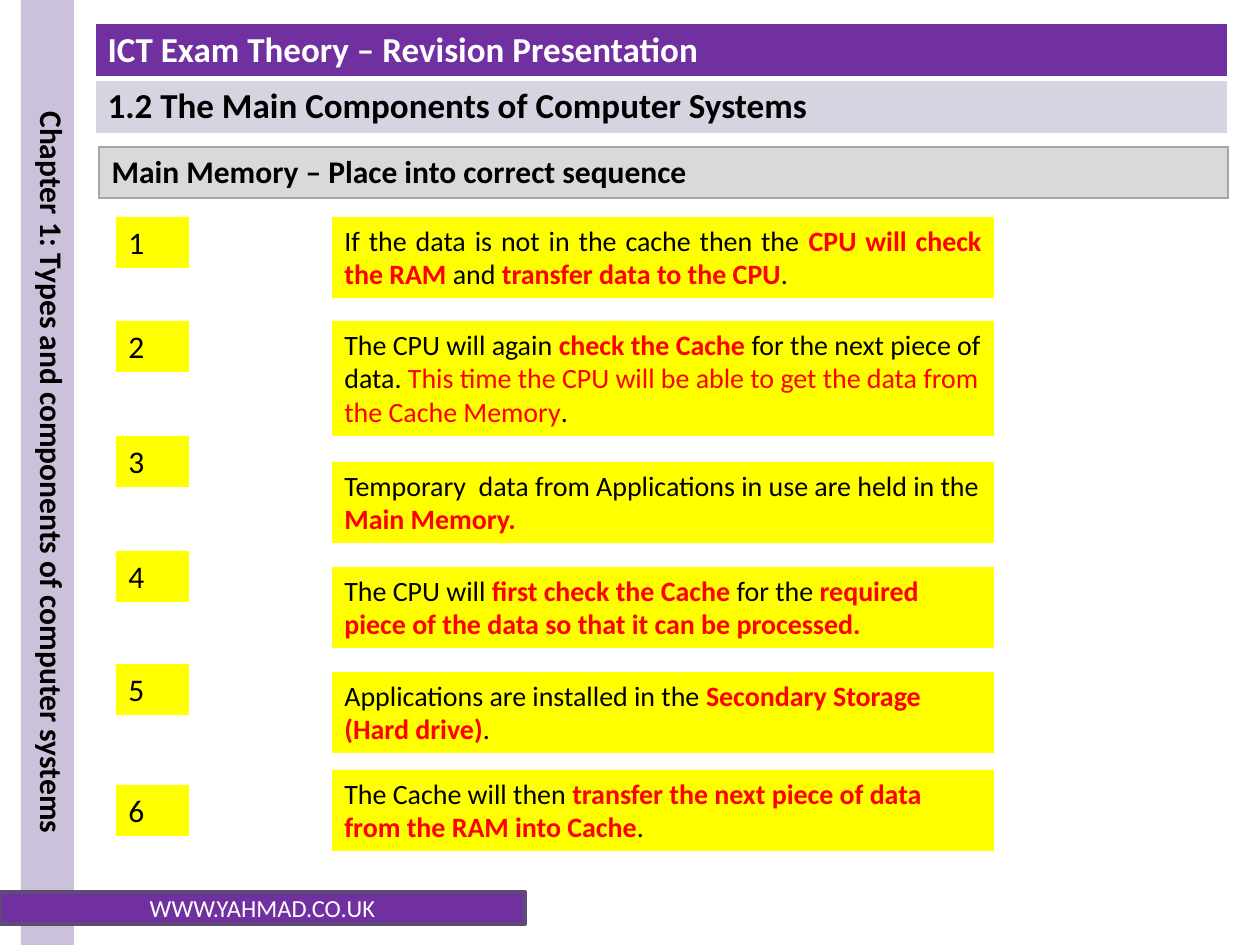
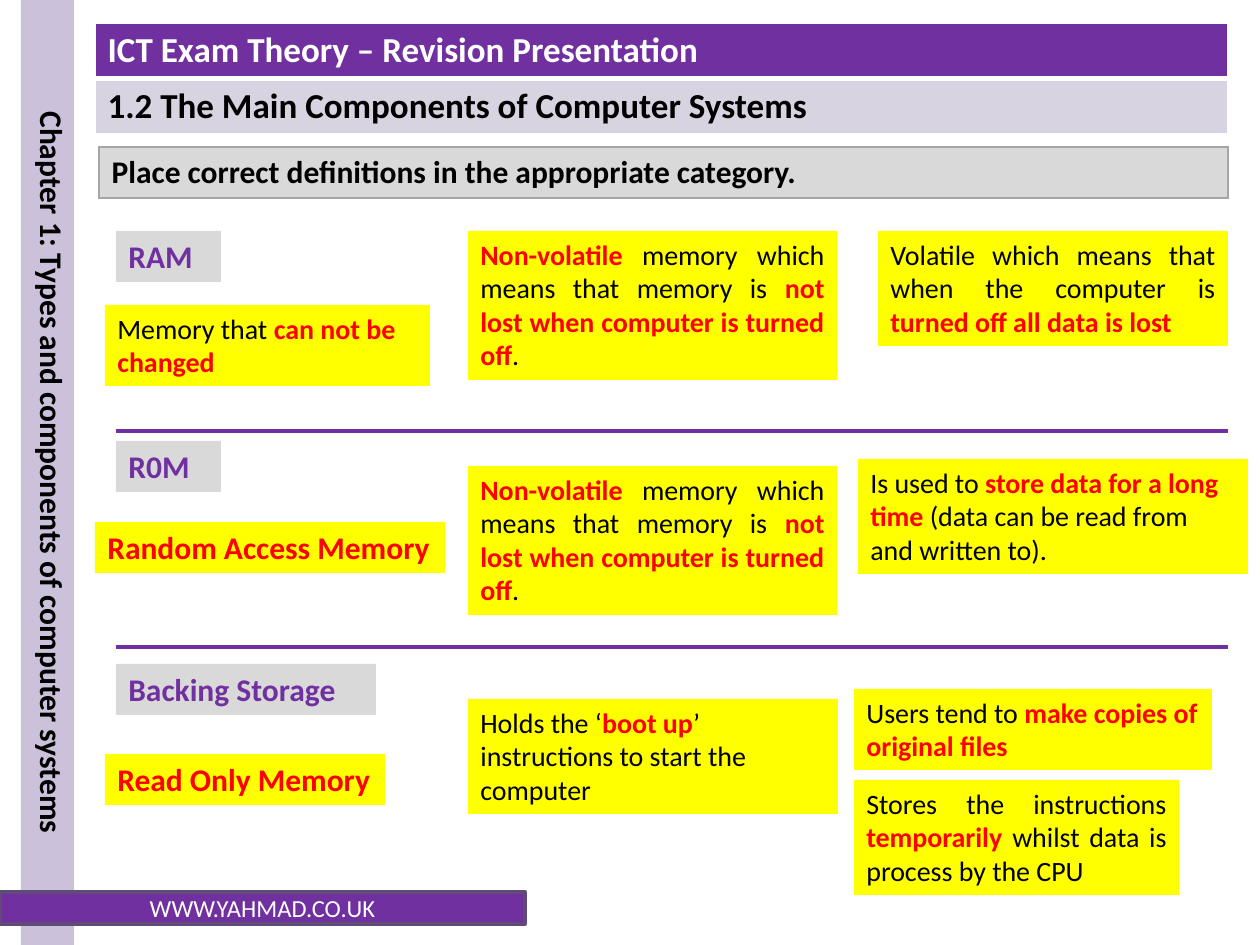
"""Build two revision slides on computer memory: a sequencing task and a sorting task."""
import pptx
import pptx.dml.color
import pptx.enum.shapes
import pptx.enum.text
import pptx.oxml.ns
import pptx.util
from lxml import etree

PX = 914400 / 126
FONT = "Calibri"
PURPLE, BLACK, WHITE, RED = "7030A0", "000000", "FFFFFF", "FF0000"
YELLOW, GREY, LILAC, PALE = "FFFF00", "D9D9D9", "CCC1DA", "D8D3E0"
FOOTER_EDGE, HEADING_EDGE = "5F4A78", "A6A6A6"
PLAIN, KEY, TINTED = (BLACK, False), (RED, True), (RED, False)
LABEL = (PURPLE, True)
LEFT = pptx.enum.text.PP_ALIGN.LEFT
CENTER = pptx.enum.text.PP_ALIGN.CENTER
JUSTIFY = pptx.enum.text.PP_ALIGN.JUSTIFY

COURSE = "ICT Exam Theory – Revision Presentation"
TOPIC = "1.2 The Main Components of Computer Systems"
CHAPTER = "Chapter 1: Types and components of computer systems"
FOOTER = "WWW.YAHMAD.CO.UK"

SEQUENCE_HEADING = "Main Memory – Place into correct sequence"
NUMBER_TOPS = [217, 321, 436, 551, 664, 785]
STEPS = [
    (217, 2, JUSTIFY, [("If the data is not in the cache then the", PLAIN),
                       (" CPU will check the RAM", KEY), (" and ", PLAIN),
                       ("transfer data to the CPU", KEY), (".", PLAIN)]),
    (321, 3, LEFT, [("The CPU will again ", PLAIN), ("check the Cache", KEY),
                    (" for the next piece of data. ", PLAIN),
                    ("This time the CPU will be able to get the data from the Cache Memory", TINTED),
                    (".", PLAIN)]),
    (462, 2, LEFT, [("Temporary  data from Applications in use are held in the ", PLAIN),
                    ("Main Memory.", KEY)]),
    (567, 2, LEFT, [("The CPU will ", PLAIN), ("first check the Cache ", KEY), ("for the ", PLAIN),
                    ("required piece of the data so that it can be processed.", KEY)]),
    (672, 2, LEFT, [("Applications are installed in the ", PLAIN),
                    ("Secondary Storage (Hard drive)", KEY), (".", PLAIN)]),
    (770, 2, LEFT, [("The Cache will then ", PLAIN),
                    ("transfer the next piece of data from the RAM into Cache", KEY), (".", PLAIN)]),
]

SORTING_HEADING = "Place correct definitions in the appropriate category."
CATEGORIES = [("RAM", 231, 105), ("R0M", 441, 105), ("Backing Storage", 664, 260)]
DIVIDER_TOPS = [431, 647]
MEMORY_NAMES = [("Random Access Memory", 95, 522, 350), ("Read Only Memory", 105, 754, 280)]
NON_VOLATILE = [("Non-volatile", KEY), (" memory which means that memory is ", PLAIN),
                ("not lost when computer is turned off", KEY), (".", PLAIN)]
DEFINITIONS = [
    (105, 305, 325, 2, LEFT, [("Memory that ", PLAIN), ("can not be changed", KEY)]),
    (468, 231, 369, 4, JUSTIFY, NON_VOLATILE),
    (468, 466, 369, 4, JUSTIFY, NON_VOLATILE),
    (468, 699, 370, 3, LEFT, [("Holds the ‘", PLAIN), ("boot up", KEY),
                              ("’ instructions to start the computer", PLAIN)]),
    (878, 231, 350, 3, JUSTIFY, [("Volatile which means that when the computer is ", PLAIN),
                                 ("turned off all data is lost", KEY)]),
    (858, 459, 390, 3, LEFT, [("Is used to ", PLAIN), ("store data for a long time ", KEY),
                              ("(data can be read from and written to).", PLAIN)]),
    (854, 689, 358, 2, LEFT, [("Users tend to ", PLAIN), ("make copies of original files", KEY)]),
    (854, 780, 325, 3, JUSTIFY, [("Stores the instructions ", PLAIN), ("temporarily ", KEY),
                                 ("whilst data is process by the CPU", PLAIN)]),
]


def px(n):
    return pptx.util.Emu(int(n * PX))


def rgb(value):
    return pptx.dml.color.RGBColor.from_string(value)


def write(tf, runs, size, align=LEFT):
    p = tf.paragraphs[0]
    p.alignment = align
    p.font.size = pptx.util.Pt(size)
    p.font.name = FONT
    for text, (color, bold) in runs:
        r = p.add_run()
        r.text = text
        r.font.color.rgb = rgb(color)
        r.font.bold = bold


def add_box(slide, x, y, w, h, fill, edge=None):
    sp = slide.shapes.add_shape(pptx.enum.shapes.MSO_SHAPE.RECTANGLE, px(x), px(y), px(w), px(h))
    sp.shadow.inherit = False
    sp.fill.solid()
    sp.fill.fore_color.rgb = rgb(fill)
    if edge:
        sp.line.color.rgb = rgb(edge)
        sp.line.width = pptx.util.Pt(2)
    else:
        sp.line.fill.background()
    return sp


def add_card(slide, x, y, w, runs, size=16, lines=1, align=LEFT, fill=YELLOW):
    h = 51 if size == 18 else 34 * lines + 13
    tf = add_box(slide, x, y, w, h, fill).text_frame
    tf.word_wrap = True
    tf.vertical_anchor = pptx.enum.text.MSO_ANCHOR.TOP
    write(tf, runs, size, align)


def set_borders(cell, color, **widths):
    tc_pr = cell._tc.get_or_add_tcPr()
    for i, side in enumerate("LRTB"):
        width = pptx.util.Pt(widths.get(side, 1))
        ln = etree.Element(pptx.oxml.ns.qn("a:ln" + side), w=str(width))
        fill = etree.SubElement(ln, pptx.oxml.ns.qn("a:solidFill"))
        etree.SubElement(fill, pptx.oxml.ns.qn("a:srgbClr"), val=color)
        tc_pr.insert(i, ln)


def add_bands(slide, x, y, w, row_h, size, edge, rows):
    frame = slide.shapes.add_table(len(rows), 1, px(x), px(y), px(w), px(row_h * len(rows)))
    table = frame.table
    table.first_row = table.horz_banding = False
    for i, (text, color, fill) in enumerate(rows):
        cell = table.cell(i, 0)
        cell.fill.solid()
        cell.fill.fore_color.rgb = rgb(fill)
        write(cell.text_frame, [(text, (color, True))], size)
        inner = {"B": 3} if i + 1 < len(rows) else {"T": 3} if i else {}
        set_borders(cell, edge, **inner)


def add_divider(slide, y):
    line = slide.shapes.add_connector(
        pptx.enum.shapes.MSO_CONNECTOR.STRAIGHT, px(116), px(y), px(1228), px(y))
    line.line.color.rgb = rgb(PURPLE)
    line.line.width = pptx.util.Pt(2.25)
    etree.SubElement(line._element.spPr, pptx.oxml.ns.qn("a:effectLst"))


def add_slide(prs, heading):
    slide = prs.slides.add_slide(prs.slide_layouts[6])
    add_bands(slide, 95, 23, 1133, 55, 20, WHITE,
              [(COURSE, WHITE, PURPLE), (TOPIC, BLACK, PALE)])
    add_box(slide, 21, 0, 53, 945, LILAC)
    tf = slide.shapes.add_textbox(px(15), 0, px(63), px(945)).text_frame
    tf.word_wrap = True
    tf._txBody.bodyPr.set("vert", "vert")
    write(tf, [(CHAPTER, (BLACK, True))], 18, CENTER)
    tf = add_box(slide, 0, 892, 525, 32, PURPLE, FOOTER_EDGE).text_frame
    tf.vertical_anchor = pptx.enum.text.MSO_ANCHOR.MIDDLE
    write(tf, [(FOOTER, (WHITE, False))], 14, CENTER)
    add_bands(slide, 99, 147, 1129, 51, 18, HEADING_EDGE, [(heading, BLACK, GREY)])
    return slide


def build_sequence(prs):
    slide = add_slide(prs, SEQUENCE_HEADING)
    for y, lines, align, runs in STEPS:
        add_card(slide, 332, y, 662, runs, lines=lines, align=align)
    for number, y in enumerate(NUMBER_TOPS, 1):
        add_card(slide, 116, y, 73, [(str(number), PLAIN)], size=18)


def build_sorting(prs):
    slide = add_slide(prs, SORTING_HEADING)
    for name, y, w in CATEGORIES:
        add_card(slide, 116, y, w, [(name, LABEL)], size=18, fill=GREY)
    for y in DIVIDER_TOPS:
        add_divider(slide, y)
    for name, x, y, w in MEMORY_NAMES:
        add_card(slide, x, y, w, [(name, KEY)], size=18, align=JUSTIFY)
    for x, y, w, lines, align, runs in DEFINITIONS:
        add_card(slide, x, y, w, runs, lines=lines, align=align)


def main():
    prs = pptx.Presentation()
    prs.slide_width, prs.slide_height = px(1260), px(945)
    build_sequence(prs)
    build_sorting(prs)
    prs.save("out.pptx")


if __name__ == "__main__":
    main()
